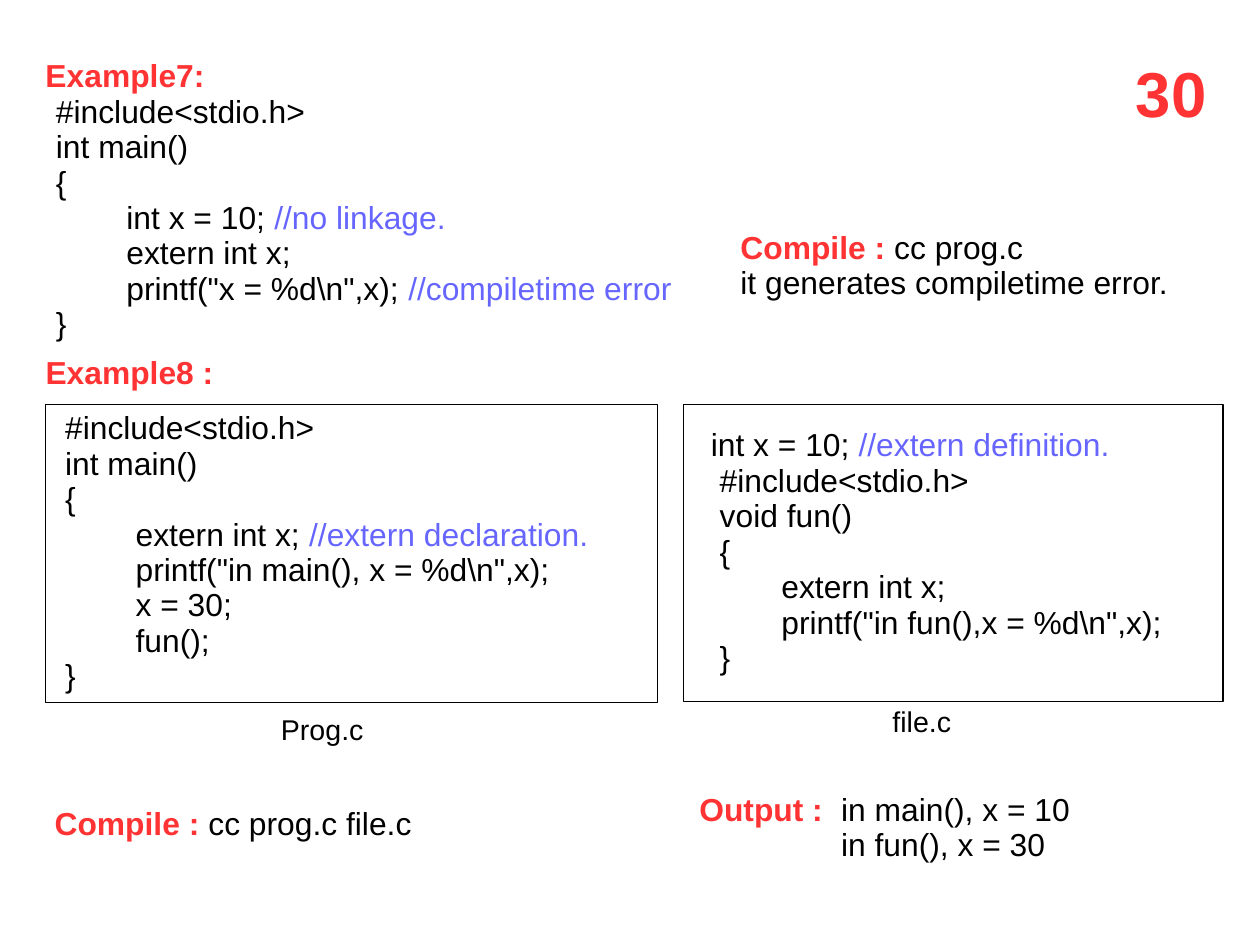
from dataclasses import dataclass

import pptx
import pptx.dml.color
import pptx.enum.shapes
import pptx.oxml
import pptx.slide
import pptx.util
from lxml import etree
from pptx.oxml import ns

Inches = pptx.util.Inches
RED = pptx.dml.color.RGBColor(0xFF, 0x33, 0x33)
BLUE = pptx.dml.color.RGBColor(0x66, 0x66, 0xFF)
BLACK = pptx.dml.color.RGBColor(0, 0, 0)
WHITE = pptx.dml.color.RGBColor(0xFF, 0xFF, 0xFF)
CM_PER_INCH = 2.54
PAGE_WIDTH = Inches(28 / CM_PER_INCH)
PAGE_HEIGHT = Inches(21 / CM_PER_INCH)
HEADING_INDENT = 0.14
OUTPUT_INDENT = 1.24


@dataclass(frozen=True)
class Span:
    text: str
    color: pptx.dml.color.RGBColor = BLACK
    bold: bool = False


@dataclass(frozen=True)
class Line:
    spans: tuple[Span, ...]
    indent: float = 0
    tab: float = 0


@dataclass(frozen=True)
class TextBlock:
    left: float
    top: float
    width: float
    height: float
    lines: tuple[Line, ...]
    size: float = 20


@dataclass(frozen=True)
class Frame:
    left: float
    top: float
    width: float
    height: float


def code(text: str, comment: str = "") -> Line:
    spans = (Span(text), Span(comment, BLUE)) if comment else (Span(text),)
    return Line(spans)


def labelled(label: str, text: str = "", indent: float = 0, tab: float = 0) -> Line:
    spans = (Span(label, RED, True),)
    if text:
        spans += (Span(text),)
    return Line(spans, indent, tab)


FRAMES = (Frame(0.4, 3.54, 5.35, 2.61), Frame(5.98, 3.54, 4.72, 2.6))

BLOCKS = (
    TextBlock(0.16, 0.47, 6.77, 2.6, (
        labelled("Example7:", indent=HEADING_INDENT),
        code("   #include<stdio.h>"),
        code("   int main()"),
        code("   {"),
        code("           int x = 10; ", "//no linkage."),
        code("           extern int x;"),
        code("           printf(\"x = %d\\n\",x); ", "//compiletime error"),
        code("   }"),
    )),
    TextBlock(6.38, 1.97, 4.1, 0.74, (
        labelled("Compile : ", "cc prog.c"),
        code("it generates compiletime error."),
    )),
    TextBlock(9.84, 0.48, 0.9, 0.77, (labelled("30"),), 40),
    TextBlock(0.16, 3.07, 2.29, 0.43, (labelled("Example8 :", indent=HEADING_INDENT),)),
    TextBlock(2.36, 6.21, 1, 0.4, (code("Prog.c"),), 18),
    TextBlock(7.71, 6.14, 0.8, 0.4, (code("file.c"),), 18),
    TextBlock(0.38, 7.01, 3.5, 0.43, (labelled("Compile :", " cc prog.c file.c"),)),
    TextBlock(0.24, 3.55, 5.52, 2.6, (
        code("   #include<stdio.h>"),
        code("   int main()"),
        code("   {"),
        code("           extern int x;", " //extern declaration."),
        code("           printf(\"in main(), x = %d\\n\",x);"),
        code("           x = 30;"),
        code("           fun();"),
        code("   }"),
    )),
    TextBlock(5.89, 3.7, 4.66, 2.29, (
        code("   int x = 10; ", "//extern definition."),
        code("    #include<stdio.h>"),
        code("    void fun()"),
        code("    {"),
        code("           extern int x;"),
        code("           printf(\"in fun(),x = %d\\n\",x);"),
        code("    }"),
    )),
    TextBlock(6.02, 6.89, 3.82, 0.74, (
        labelled("Output :", "\tin main(), x = 10", tab=OUTPUT_INDENT),
        Line((Span("in fun(), x = 30"),), indent=OUTPUT_INDENT),
    )),
)


def draw_frame(page: pptx.slide.Slide, frame: Frame) -> None:
    box = page.shapes.add_shape(
        pptx.enum.shapes.MSO_SHAPE.RECTANGLE,
        Inches(frame.left), Inches(frame.top), Inches(frame.width), Inches(frame.height))
    box.shadow.inherit = False
    box.fill.solid()
    box.fill.fore_color.rgb = WHITE
    box.line.color.rgb = BLACK
    box.line.width = pptx.util.Pt(0.75)


def draw_text(page: pptx.slide.Slide, block: TextBlock) -> None:
    box = page.shapes.add_textbox(
        Inches(block.left), Inches(block.top), Inches(block.width), Inches(block.height))
    box.text_frame.word_wrap = True
    for number, line in enumerate(block.lines):
        para = box.text_frame.add_paragraph() if number else box.text_frame.paragraphs[0]
        para.line_spacing = 0.93
        properties = para._p.get_or_add_pPr()
        if line.indent:
            properties.set("marL", str(Inches(line.indent)))
            properties.set("indent", "0")
        if line.tab:
            stops = etree.SubElement(properties, ns.qn("a:tabLst"))
            etree.SubElement(stops, ns.qn("a:tab"), pos=str(Inches(line.tab)), algn="l")
        for span in line.spans:
            run = para.add_run()
            run.text = span.text
            run.font.name = "Arial"
            run.font.size = pptx.util.Pt(block.size)
            run.font.bold = span.bold
            run.font.color.rgb = span.color


def main() -> None:
    deck = pptx.Presentation()
    deck.slide_width = PAGE_WIDTH
    deck.slide_height = PAGE_HEIGHT
    page = deck.slides.add_slide(deck.slide_layouts[6])
    for frame in FRAMES:
        draw_frame(page, frame)
    for block in BLOCKS:
        draw_text(page, block)
    deck.save("out.pptx")


if __name__ == "__main__":
    main()
